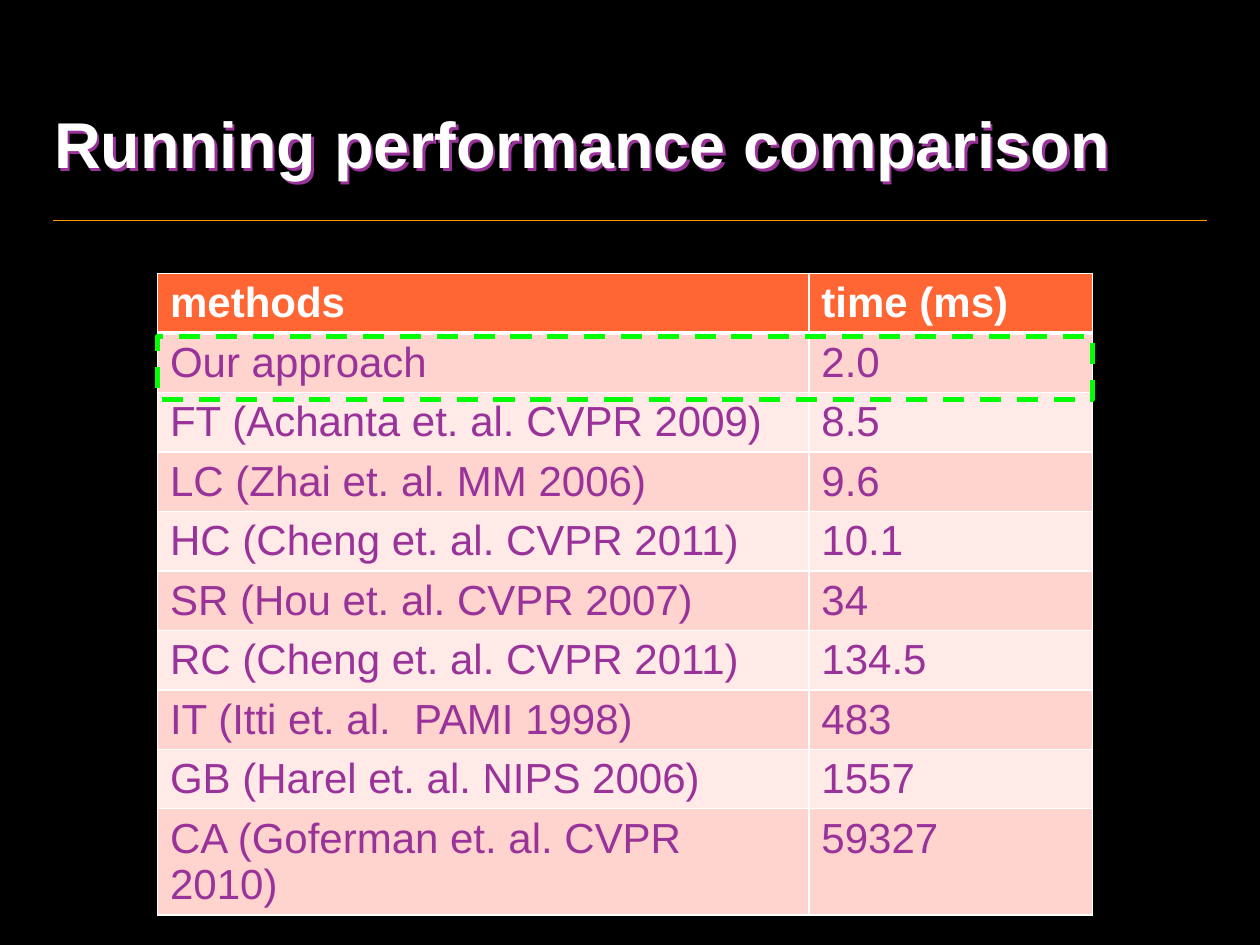
import pptx
import pptx.dml.color
import pptx.enum.dml
import pptx.enum.shapes
import pptx.enum.text
import pptx.oxml
import pptx.oxml.ns
import pptx.util
from pptx.util import Inches

COLORS = {
    "background": "000000", "title": "FFFFFF", "rule": "FF9900",
    "header": "FF6633", "odd": "FFD3CE", "even": "FFEAE8",
    "body": "993399", "border": "FFFFFF", "highlight": "00FF00",
}
ROWS = [
    ("methods", "time (ms)"),
    ("Our approach", "2.0"),
    ("FT (Achanta et. al. CVPR 2009)", "8.5"),
    ("LC (Zhai et. al. MM 2006)", "9.6"),
    ("HC (Cheng et. al. CVPR 2011)", "10.1"),
    ("SR (Hou et. al. CVPR 2007)", "34"),
    ("RC (Cheng et. al. CVPR 2011)", "134.5"),
    ("IT (Itti et. al.  PAMI 1998)", "483"),
    ("GB (Harel et. al. NIPS 2006)", "1557"),
    ("CA (Goferman et. al. CVPR 2010)", "59327"),
]


def rgb(name):
    return pptx.dml.color.RGBColor.from_string(COLORS[name])


def xml(text):
    """Build an element, declaring the drawing namespace at its first space."""
    return pptx.oxml.parse_xml(text.replace(" ", f" {pptx.oxml.ns.nsdecls('a')} ", 1))


class SlideBuilder:
    def __init__(self, slide, font="Arial"):
        self.slide = slide
        self.font = font
        fill = slide.background.fill
        fill.solid()
        fill.fore_color.rgb = rgb("background")

    def add_text(self, frame, text, color, size, bold):
        paragraph = frame.paragraphs[0]
        paragraph.alignment = pptx.enum.text.PP_ALIGN.LEFT
        run = paragraph.add_run()
        run.text = text
        formats = {"name": self.font, "size": pptx.util.Pt(size), "bold": bold}
        for key, value in formats.items():
            setattr(run.font, key, value)
        run.font.color.rgb = rgb(color)

    def title(self, text, left, top, width, height):
        shape = self.slide.shapes.title
        box = {"left": left, "top": top, "width": width, "height": height}
        for key, value in box.items():
            setattr(shape, key, Inches(value))
        shape.text_frame.vertical_anchor = pptx.enum.text.MSO_ANCHOR.MIDDLE
        self.add_text(shape.text_frame, text, "title", 37, True)
        # Purple shadow behind the letters
        shape._element.spPr.append(xml(
            '<a:effectLst ><a:outerShdw dist="25400" dir="2700000">'
            f'<a:srgbClr val="{COLORS["body"]}"/></a:outerShdw></a:effectLst>'))

    def rule(self, left, right, top):
        line = self.slide.shapes.add_connector(
            pptx.enum.shapes.MSO_CONNECTOR.STRAIGHT,
            Inches(left), Inches(top), Inches(right), Inches(top))
        line.line.color.rgb = rgb("rule")
        line.line.width = pptx.util.Pt(1)
        line._element.spPr.append(xml("<a:effectLst />"))

    def borders(self, cell, widths):
        properties = cell._tc.get_or_add_tcPr()
        for index, (side, width) in enumerate(widths.items()):
            properties.insert(index, xml(
                f'<a:ln{side} w="{pptx.util.Pt(width)}"><a:solidFill>'
                f'<a:srgbClr val="{COLORS["border"]}"/></a:solidFill></a:ln{side}>'))

    def table(self, rows, left, top, column_widths, row_height):
        table = self.slide.shapes.add_table(
            len(rows), len(column_widths), Inches(left), Inches(top),
            Inches(sum(column_widths)), Inches(row_height * len(rows))).table
        for column, width in zip(table.columns, column_widths):
            column.width = Inches(width)
        for row_index, values in enumerate(rows):
            is_header = row_index == 0
            band = "header" if is_header else ("even", "odd")[row_index % 2]
            for column_index, text in enumerate(values):
                cell = table.cell(row_index, column_index)
                cell.fill.solid()
                cell.fill.fore_color.rgb = rgb(band)
                self.add_text(cell.text_frame, text,
                              "title" if is_header else "body", 24, is_header)
                self.borders(cell, {"L": 1, "R": 1, "T": 3 if row_index == 1 else 1,
                                    "B": 3 if is_header else 1})

    def dashed_frame(self, left, top, width, height):
        shape = self.slide.shapes.add_shape(
            pptx.enum.shapes.MSO_SHAPE.RECTANGLE,
            Inches(left), Inches(top), Inches(width), Inches(height))
        shape.shadow.inherit = False
        shape.fill.background()
        shape.line.color.rgb = rgb("highlight")
        shape.line.width = pptx.util.Pt(3)
        shape.line.dash_style = pptx.enum.dml.MSO_LINE.DASH


def main():
    presentation = pptx.Presentation()
    presentation.slide_width = Inches(10)
    presentation.slide_height = Inches(7.5)
    title_only = presentation.slide_layouts[5]
    builder = SlideBuilder(presentation.slides.add_slide(title_only))

    # Heading
    builder.rule(0.42, 9.58, 1.75)
    builder.title("Running performance comparison", 0.33, 0.47, 9.33, 1.33)

    # Timings, with our approach framed
    builder.table(ROWS, 1.25, 2.17, (5.17, 2.25), 0.41)
    builder.dashed_frame(1.25, 2.67, 7.42, 0.5)

    presentation.save("out.pptx")


if __name__ == "__main__":
    main()
